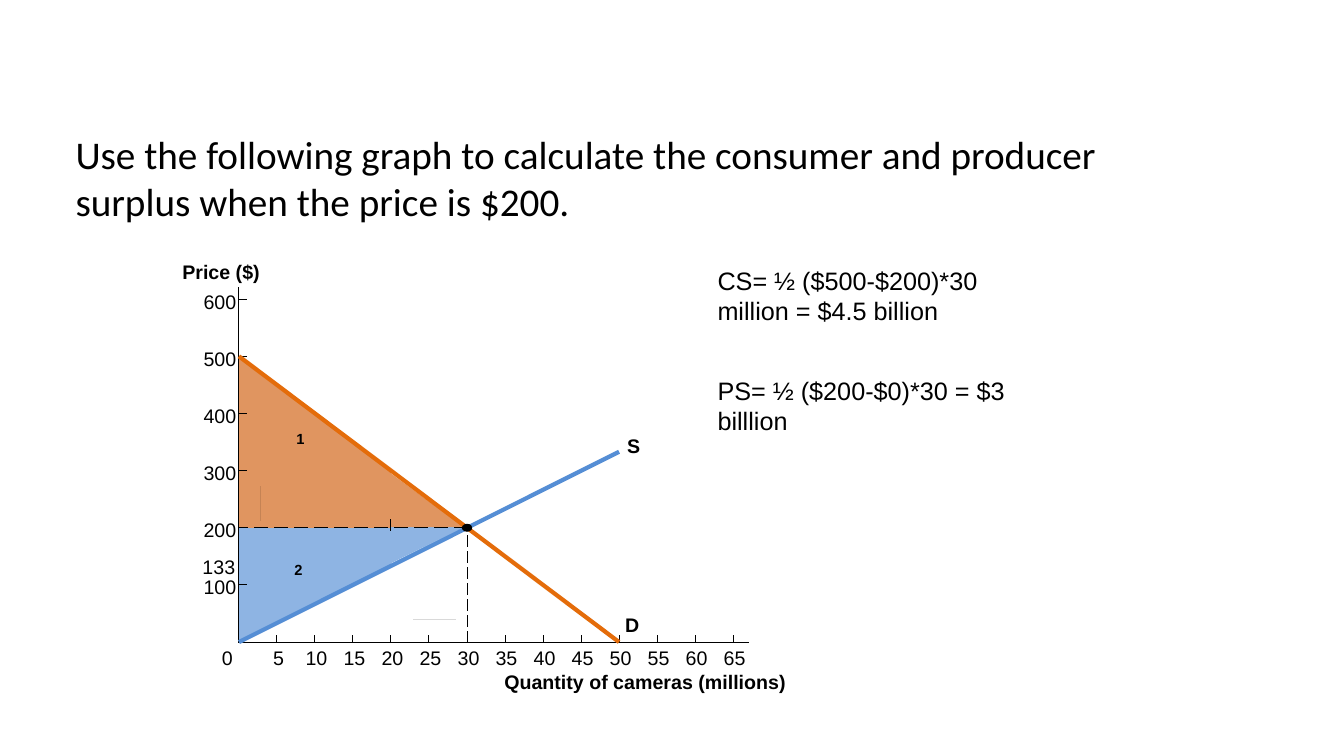
import pptx
import pptx.util
import pptx.dml.color
import pptx.enum.shapes
import pptx.enum.text
import pptx.oxml.ns
import lxml.etree

COLORS = {
    "ink": "000000",
    "demand": "E46C0A",
    "supply": "558ED5",
    "consumer": "E09560",
    "producer": "8EB4E3",
    "faint": "D9D9D9",
    "shade": "C58354",
}
LEFT = pptx.enum.text.PP_ALIGN.LEFT
CENTER = pptx.enum.text.PP_ALIGN.CENTER


class GraphSlide:
    """One column is 5 million cameras, one row is $100, counted from the graph's origin."""

    origin_x, origin_y = 2.37, 6.37
    column, row = 0.377, 0.567
    font = "Arial"
    hairline = 0.01

    def __init__(self, deck):
        self.shapes = deck.slides.add_slide(deck.slide_layouts[6]).shapes

    def point(self, column, row):
        return (pptx.util.Inches(self.origin_x + column * self.column),
                pptx.util.Inches(self.origin_y - row * self.row))

    def size(self, columns, rows):
        return pptx.util.Inches(columns * self.column), pptx.util.Inches(rows * self.row)

    def color(self, name):
        return pptx.dml.color.RGBColor.from_string(COLORS[name])

    def paint(self, shape, color):
        shape.shadow.inherit = False
        shape.fill.solid()
        shape.fill.fore_color.rgb = self.color(color)
        shape.line.fill.background()

    def text(self, words, at, size, points=14, bold=False, font=None,
             align=LEFT, inset=False, wrap=False):
        box = self.shapes.add_textbox(*self.point(*at), *self.size(*size))
        frame = box.text_frame
        frame.text = words
        frame.word_wrap = wrap
        if not inset:
            frame.margin_left = frame.margin_right = 0
            frame.margin_top = frame.margin_bottom = 0
        para = frame.paragraphs[0]
        para.alignment = align
        span = para.runs[0]
        span.font.name = font or self.font
        span.font.size = pptx.util.Pt(points)
        span.font.bold = bold
        span.font.color.rgb = self.color("ink")

    def line(self, start, end, color="ink", width=hairline):
        connector = self.shapes.add_connector(
            pptx.enum.shapes.MSO_CONNECTOR.STRAIGHT, *self.point(*start), *self.point(*end))
        connector.line.color.rgb = self.color(color)
        connector.line.width = pptx.util.Pt(width)
        properties = connector._element.spPr
        lxml.etree.SubElement(properties, pptx.oxml.ns.qn("a:effectLst"))

    def area(self, corners, color):
        start, *others = [self.point(*corner) for corner in corners]
        builder = self.shapes.build_freeform(*start, scale=1.0)
        builder.add_line_segments(others, close=True)
        self.paint(builder.convert_to_shape(), color)

    def dot(self, center, columns, rows):
        corner = self.point(center[0] - columns / 2, center[1] + rows / 2)
        oval = pptx.enum.shapes.MSO_SHAPE.OVAL
        self.paint(self.shapes.add_shape(oval, *corner, *self.size(columns, rows)), "ink")


deck = pptx.Presentation()
deck.slide_width = pptx.util.Inches(13.33)
deck.slide_height = pptx.util.Inches(7.5)
graph = GraphSlide(deck)

graph.text("Use the following graph to calculate the consumer and producer "
           "surplus when the price is $200.",
           (-4.56, 9.05), (27.9, 10.02), points=28, font="Calibri", inset=True, wrap=True)

graph.area([(5.92, 2.01), (0, 2.01), (0, 0.07)], "producer")
graph.area([(0, 4.9), (5.92, 2.01), (0, 2.01)], "consumer")
graph.area([(0, 2), (0, 0), (4, 1.33), (4, 2)], "producer")
graph.area([(4, 3), (0, 5), (0, 2), (4, 2)], "consumer")

graph.text("0", (-0.45, -0.07), (0.35, 0.42))
for step in range(1, 14):
    graph.line((step, 0.11), (step, 0))
    graph.text(str(step * 5), (step - 0.36, -0.07), (0.8, 0.42), align=CENTER)
for step in range(1, 7):
    graph.line((0, step), (0.21, step))
    graph.text(str(step * 100), (-0.93, step + 0.17), (0.92, 0.42))

graph.line((0, 0), (0, 6.21))
graph.line((0, 0), (13.4, 0))
graph.line((0, 5), (10, 0), "demand", 3)

quantity, price = 6, 2
for dash in range(8):
    bottom = dash * 0.28
    graph.line((quantity, bottom), (quantity, min(bottom + 0.18, price)))
graph.line((0, 0), (10, 3.33), "supply", 3)
graph.dot((quantity, price), 0.27, 0.14)
for dash in range(12):
    right = quantity - dash * 6.3 / 12
    graph.line((right, price), (max(right - 0.33, 0), price))

graph.line((4.59, 0.39), (5.7, 0.39), "faint")
graph.line((0.56, 2.72), (0.56, 2.12), "shade")
graph.line((4, 1.96), (4, 2.14))

for words, at, columns in [
    ("Price ($)", (-1.49, 6.68), 2.6),
    ("D", (10.16, 0.51), 0.6),
    ("S", (10.21, 3.65), 0.6),
    ("Quantity of cameras (millions)", (6.98, -0.49), 8),
]:
    graph.text(words, at, (columns, 0.42), bold=True)
for words, at in [("1", (1.51, 3.72)), ("2", (1.46, 1.43))]:
    graph.text(words, at, (0.3, 0.32), points=10.5, bold=True)

graph.text("133", (-1.22, 1.62), (1.99, 0.6), inset=True, wrap=True)
for words, row, columns in [
    ("CS= ½ ($500-$200)*30 million = $4.5 billion", 6.68, 9.15),
    ("PS= ½ ($200-$0)*30 = $3 billlion", 4.76, 9.39),
]:
    graph.text(words, (12.33, row), (columns, 1.25), points=18, inset=True, wrap=True)

deck.save("out.pptx")
